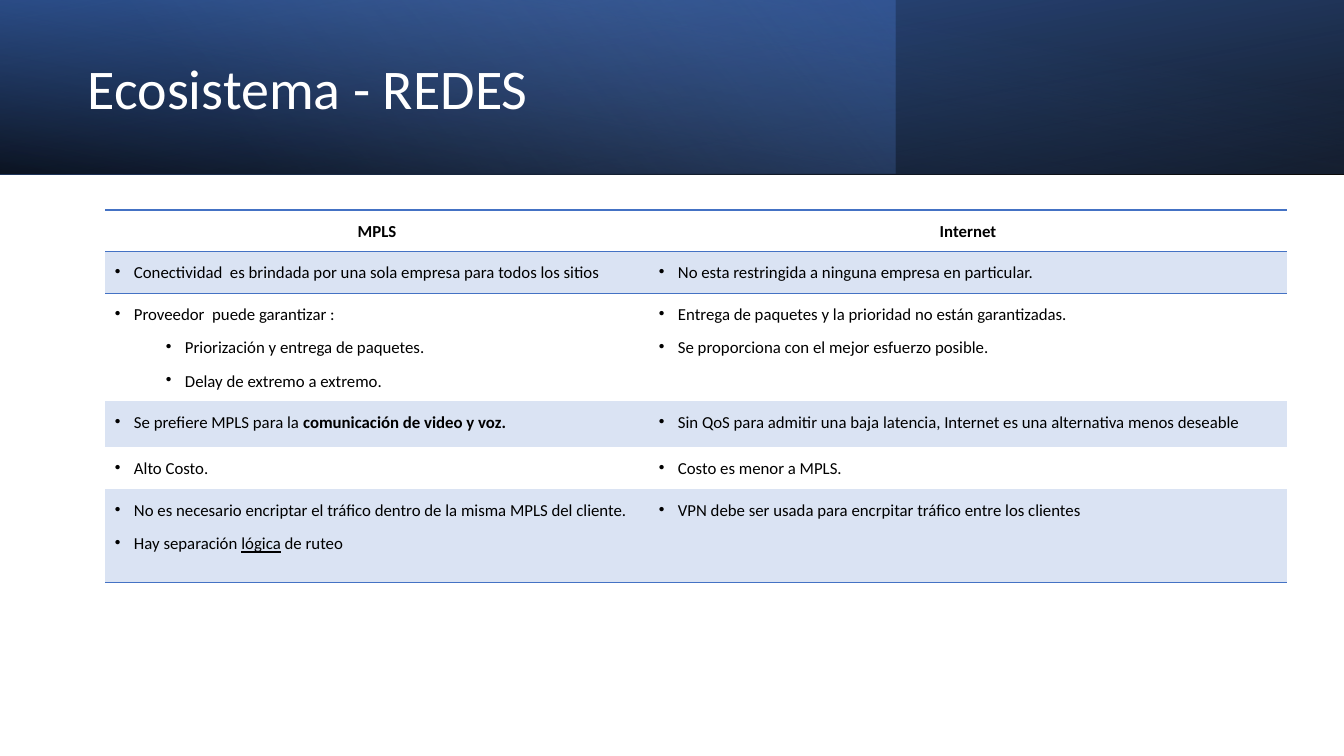
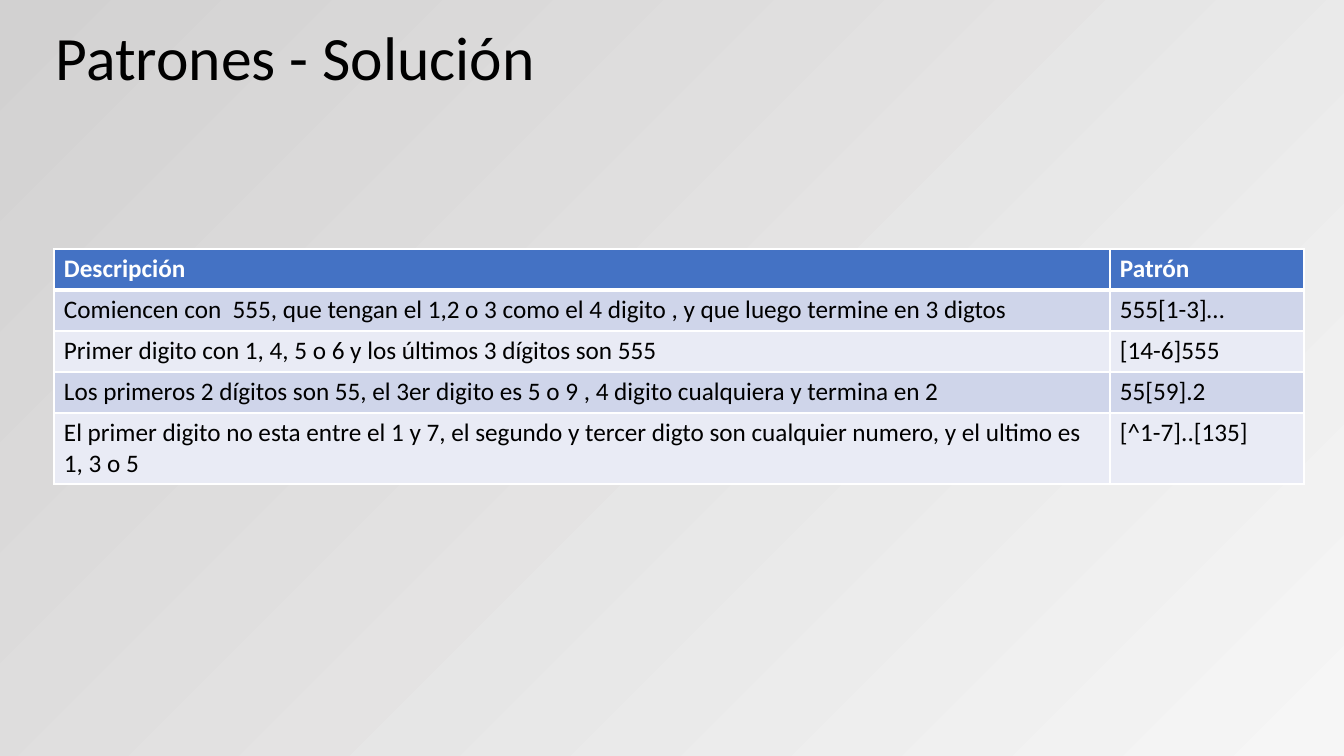
"""Build two slides: an MPLS and Internet comparison, and a table of number patterns."""
import pptx
import pptx.dml.color
import pptx.enum.shapes
import pptx.enum.text
import pptx.oxml
import pptx.oxml.ns
import pptx.util

PX = 12192000 / 1344


class Theme:
    font = "Calibri"
    white, black = "FFFFFF", "000000"
    blue, deep_blue, light_blue = "4472C4", "2F5597", "8FAADC"
    blue_tint, band_dark, band_light = "DAE3F3", "CFD5EA", "E9EBF5"
    gray_light, gray_dark = "F6F6F6", "D2D1D1"
    title, title_large, body, body_small = 40, 44, 18, 12


def put_text(tf, paragraphs, size, color, bold=False, align=None, anchor=None,
             spacing=None, after=None, bullet=False):
    tf.word_wrap = True
    if anchor is not None:
        tf.vertical_anchor = anchor
    for i, item in enumerate(paragraphs):
        level, runs = item if isinstance(item, tuple) else (0, [(item, "")])
        p = tf.paragraphs[0] if i == 0 else tf.add_paragraph()
        p.level = level
        if bullet:
            pPr = p._p.get_or_add_pPr()
            pPr.set("marL", str(round((19 + 51 * level) * PX)))
            pPr.set("indent", str(round(-19 * PX)))
            bu = pptx.oxml.parse_xml(f'<a:buChar {NS} char="•"/>')
            pPr.append(bu)
        if align is not None:
            p.alignment = align
        if spacing:
            p.line_spacing = spacing
        if after:
            p.space_after = pptx.util.Pt(after)
        for text, style in runs:
            r = p.add_run()
            r.text = text
            r.font.name = Theme.font
            r.font.size = pptx.util.Pt(size)
            r.font.color.rgb = pptx.dml.color.RGBColor.from_string(color)
            r.font.bold = bold or style == "bold"
            if style == "underline":
                r.font.underline = True


def put_gradient(owner, props, stops, direction):
    owner.fill.solid()
    gs = "".join(
        f'<a:gs pos="{pos * 1000}"><a:srgbClr val="{color}">'
        f'<a:alpha val="{alpha * 1000}"/></a:srgbClr></a:gs>'
        for pos, color, alpha in stops)
    grad = pptx.oxml.parse_xml(
        f'<a:gradFill {NS} rotWithShape="1"><a:gsLst>{gs}</a:gsLst>{direction}</a:gradFill>')
    props.replace(props.find(pptx.oxml.ns.qn("a:solidFill")), grad)


NS = pptx.oxml.ns.nsdecls("a")
ALIGN = pptx.enum.text.PP_ALIGN
MIDDLE = pptx.enum.text.MSO_ANCHOR.MIDDLE

prs = pptx.Presentation()
prs.slide_width, prs.slide_height = round(1344 * PX), round(756 * PX)
blank = prs.slide_layouts[6]
ecosystem, patterns = [prs.slides.add_slide(blank) for _ in range(2)]

bands = [
    (1344, 180, True, 100, [(0, Theme.black, 96), (100, Theme.deep_blue, 100)]),
    (896, 0, False, 140, [(0, Theme.blue, 41), (74, Theme.light_blue, 0)]),
    (1344, 0, True, 260, [(0, Theme.black, 63), (78, Theme.blue, 15)]),
]
for width, rotation, flipped, angle, stops in bands:
    sp = ecosystem.shapes.add_shape(
        pptx.enum.shapes.MSO_SHAPE.RECTANGLE, 0, 0, round(width * PX), round(174 * PX))
    sp.shadow.inherit = False
    sp.line.fill.background()
    sp.rotation = rotation
    spPr = sp._element.spPr
    if flipped:
        spPr.find(pptx.oxml.ns.qn("a:xfrm")).set("flipH", "1")
    put_gradient(sp, spPr, stops, f'<a:lin ang="{angle * 60000}" scaled="0"/>')

bg = patterns.background
bg.fill.solid()
put_gradient(
    bg, patterns._element.cSld.bg.bgPr,
    [(0, Theme.gray_light, 100), (100, Theme.gray_dark, 93)],
    '<a:path path="circle"><a:fillToRect l="100000" t="100000"/></a:path>')

titles = [
    (ecosystem, "Ecosistema - REDES", (78, 27, 778, 128), Theme.title, Theme.white),
    (patterns, "Patrones - Solución", (46, 16, 1121, 90), Theme.title_large, Theme.black),
]
for s, text, box, size, color in titles:
    sp = s.shapes.add_textbox(*[round(n * PX) for n in box])
    put_text(sp.text_frame, [text], size, color, anchor=MIDDLE, spacing=0.9)

comparison = [
    (["MPLS"], ["Internet"]),
    (["Conectividad  es brindada por una sola empresa para todos los sitios"],
     ["No esta restringida a ninguna empresa en particular."]),
    (["Proveedor  puede garantizar :",
      (1, [("Priorización y entrega de paquetes.", "")]),
      (1, [("Delay de extremo a extremo.", "")])],
     ["Entrega de paquetes y la prioridad no están garantizadas.",
      "Se proporciona con el mejor esfuerzo posible."]),
    ([(0, [("Se prefiere MPLS para la ", ""), ("comunicación de video y voz.", "bold")])],
     ["Sin QoS para admitir una baja latencia, Internet es una alternativa menos deseable"]),
    (["Alto Costo."], ["Costo es menor a MPLS."]),
    (["No es necesario encriptar el tráfico dentro de la misma MPLS del cliente.",
      (0, [("Hay separación ", ""), ("lógica", "underline"), (" de ruteo", "")])],
     ["VPN debe ser usada para encrpitar tráfico entre los clientes"]),
]
solutions = [
    (["Descripción"], ["Patrón"]),
    (["Comiencen con  555, que tengan el 1,2 o 3 como el 4 digito , y que luego termine en 3 digtos"],
     ["555[1-3]…"]),
    (["Primer digito con 1, 4, 5 o 6 y los últimos 3 dígitos son 555"], ["[14-6]555"]),
    (["Los primeros 2 dígitos son 55, el 3er digito es 5 o 9 , 4 digito cualquiera y termina en 2"],
     ["55[59].2"]),
    (["El primer digito no esta entre el 1 y 7, el segundo y tercer digto son cualquier numero, "
      "y el ultimo es 1, 3 o 5"], ["[^1-7]..[135]"]),
]
tables = [
    dict(slide=ecosystem, rows=comparison, at=(105, 210), widths=(544, 638),
         heights=(41, 42, 108, 46, 42, 93), fills=(None, Theme.blue_tint, None),
         line=Theme.blue, grid=False, margin=10, header=Theme.black,
         head_format=dict(align=ALIGN.CENTER), body_format=dict(bullet=True),
         format=dict(size=Theme.body_small, spacing=1.07, after=8)),
    dict(slide=patterns, rows=solutions, at=(54, 249), widths=(1056, 194),
         heights=(41, 41, 41, 41, 71), fills=(Theme.blue, Theme.band_dark, Theme.band_light),
         line=Theme.white, grid=True, margin=5, header=Theme.white,
         head_format={}, body_format={}, format=dict(size=Theme.body)),
]
for t in tables:
    frame = t["slide"].shapes.add_table(
        len(t["rows"]), len(t["widths"]),
        *[round(n * PX) for n in (*t["at"], sum(t["widths"]), sum(t["heights"]))])
    table = frame.table
    table.first_row = table.horz_banding = False
    style = table._tbl.tblPr.find(pptx.oxml.ns.qn("a:tableStyleId"))
    style.text = "{2D5ABB26-0587-4C30-8999-92F81FD0307C}"
    for column, width in zip(table.columns, t["widths"]):
        column.width = round(width * PX)
    for row, height in zip(table.rows, t["heights"]):
        row.height = round(height * PX)
    last = len(t["rows"]) - 1
    for i, cells in enumerate(t["rows"]):
        head = i == 0
        if t["grid"]:
            borders = {"L": 1, "R": 1, "T": 3 if i == 1 else 1, "B": 3 if head else 1}
        else:
            borders = {"T": int(i in (0, 1)), "B": int(i in (0, last))}
        fill = t["fills"][0 if head else 2 - i % 2]
        for j, paragraphs in enumerate(cells):
            cell = table.cell(i, j)
            cell.margin_top = cell.margin_bottom = round(t["margin"] * PX)
            cell.margin_left = cell.margin_right = round(10 * PX)
            tcPr = cell._tc.get_or_add_tcPr()
            for side, points in borders.items():
                if points:
                    tcPr.append(pptx.oxml.parse_xml(
                        f'<a:ln{side} {NS} w="{points * 12700}"><a:solidFill>'
                        f'<a:srgbClr val="{t["line"]}"/></a:solidFill></a:ln{side}>'))
            if fill:
                cell.fill.solid()
                cell.fill.fore_color.rgb = pptx.dml.color.RGBColor.from_string(fill)
            else:
                cell.fill.background()
            put_text(cell.text_frame, paragraphs, bold=head,
                     color=t["header"] if head else Theme.black,
                     **t["format"], **t["head_format" if head else "body_format"])

prs.save("out.pptx")
